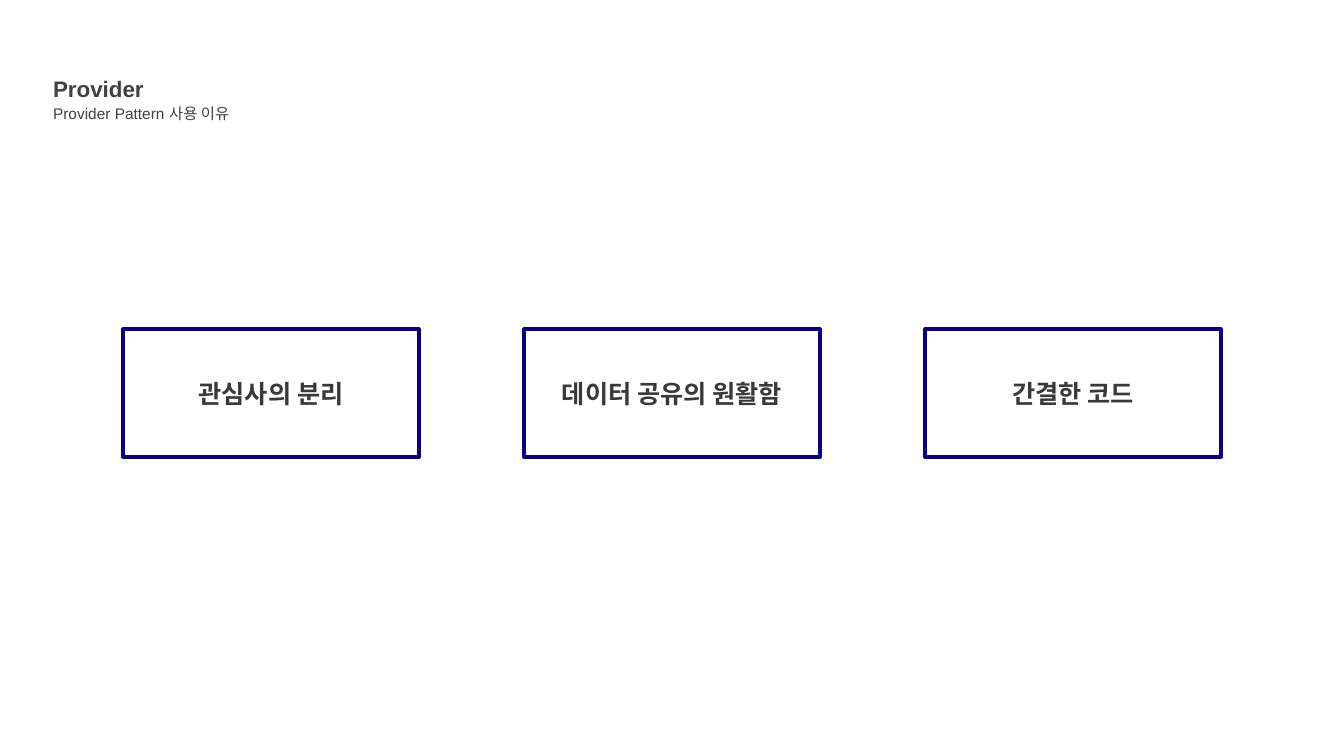
"""Build the slide on reasons for using the Provider pattern."""
from dataclasses import dataclass

from pptx import Presentation
from pptx.dml.color import RGBColor
from pptx.enum.shapes import MSO_SHAPE
from pptx.enum.text import MSO_ANCHOR, MSO_AUTO_SIZE, PP_ALIGN
from pptx.shapes.base import BaseShape
from pptx.slide import Slide
from pptx.util import Emu, Pt

GREY = RGBColor(0x40, 0x40, 0x40)
CHARCOAL = RGBColor(0x3B, 0x38, 0x38)
NAVY = RGBColor(0x07, 0x01, 0x89)
FONT = "Arial"

REASONS = ("관심사의 분리", "데이터 공유의 원활함", "간결한 코드")
REASON_LEFT, REASON_PITCH = 123, 401


def px(count: int) -> Emu:
    return Emu(round(count * 914400 / 100.8))


@dataclass(frozen=True)
class Area:
    left: int
    top: int
    width: int
    height: int


@dataclass(frozen=True)
class TextStyle:
    size: int
    color: RGBColor
    bold: bool
    align: PP_ALIGN
    anchor: MSO_ANCHOR


@dataclass(frozen=True)
class Heading:
    text: str
    area: Area
    style: TextStyle


HEADINGS = (
    Heading("Provider", Area(43, 70, 716, 37),
            TextStyle(16, GREY, True, PP_ALIGN.LEFT, MSO_ANCHOR.TOP)),
    Heading("Provider Pattern 사용 이유", Area(43, 99, 716, 29),
            TextStyle(11, GREY, False, PP_ALIGN.LEFT, MSO_ANCHOR.TOP)),
)
REASON_STYLE = TextStyle(18, CHARCOAL, True, PP_ALIGN.CENTER, MSO_ANCHOR.MIDDLE)


def write_text(box: BaseShape, text: str, style: TextStyle) -> None:
    frame = box.text_frame
    frame.text = text
    frame.word_wrap = True
    frame.auto_size = MSO_AUTO_SIZE.NONE
    frame.vertical_anchor = style.anchor
    para = frame.paragraphs[0]
    para.alignment = style.align
    para.space_before = Pt(0)
    para.font.name = FONT
    para.font.size = Pt(style.size)
    para.font.bold = style.bold
    para.font.color.rgb = style.color


def place_heading(box: BaseShape, heading: Heading) -> None:
    area = heading.area
    box.left, box.top = px(area.left), px(area.top)
    box.width, box.height = px(area.width), px(area.height)
    write_text(box, heading.text, heading.style)


def draw_reason(page: Slide, text: str, area: Area) -> None:
    box = page.shapes.add_shape(MSO_SHAPE.RECTANGLE, px(area.left), px(area.top),
                                px(area.width), px(area.height))
    box.shadow.inherit = False
    box.fill.background()
    box.line.color.rgb = NAVY
    box.line.width = Pt(2.25)
    write_text(box, text, REASON_STYLE)


def main() -> None:
    deck = Presentation()
    deck.slide_width, deck.slide_height = px(1344), px(756)
    page = deck.slides.add_slide(deck.slide_layouts[0])
    for box, heading in zip(page.placeholders, HEADINGS):
        place_heading(box, heading)
    for column, text in enumerate(REASONS):
        draw_reason(page, text, Area(REASON_LEFT + column * REASON_PITCH, 329, 296, 128))
    deck.save("out.pptx")


if __name__ == "__main__":
    main()
